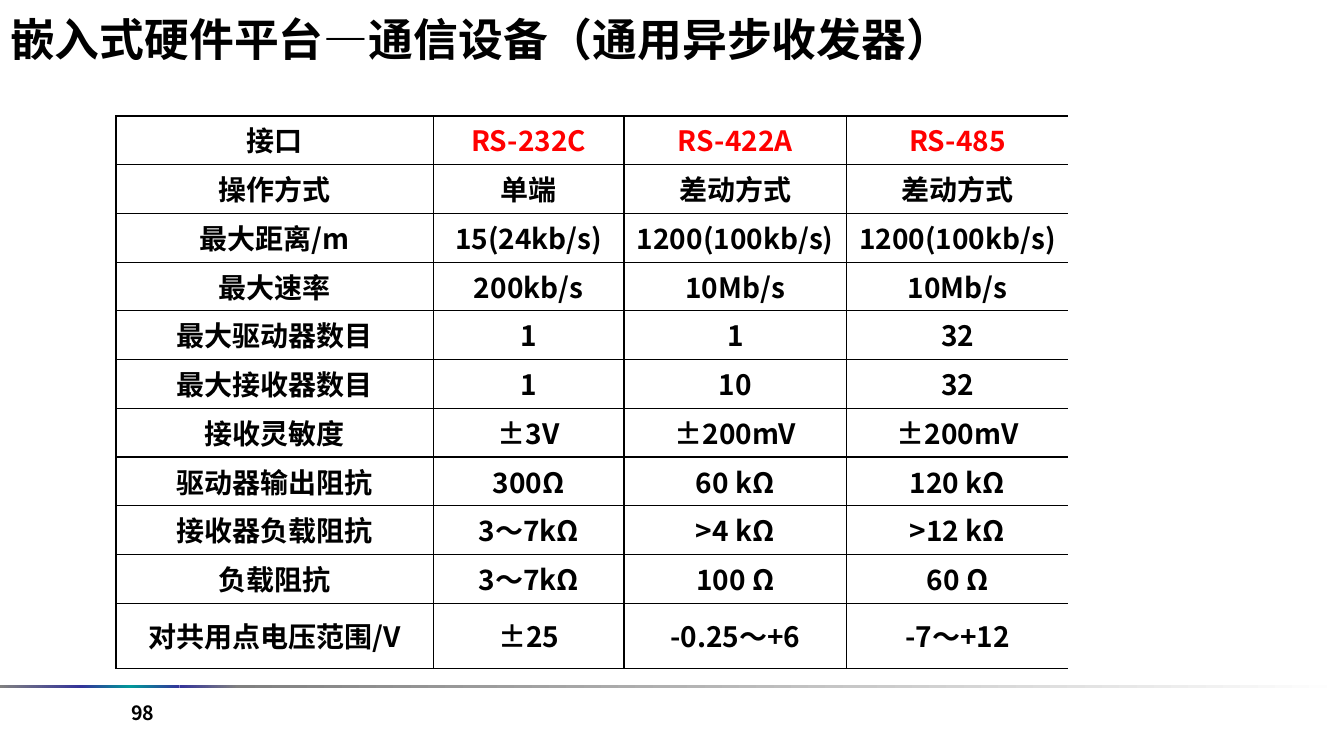
import pptx
import pptx.util
import pptx.dml.color
import pptx.enum.shapes
import pptx.enum.text
import pptx.oxml
import pptx.oxml.ns

Pt = pptx.util.Pt
RGB = pptx.dml.color.RGBColor
Align = pptx.enum.text.PP_ALIGN
Anchor = pptx.enum.text.MSO_ANCHOR
qn = pptx.oxml.ns.qn

TITLE = "嵌入式硬件平台—通信设备（通用异步收发器）"
PAGE = "98"
ROWS = [
    ("接口", "RS-232C", "RS-422A", "RS-485"),
    ("操作方式", "单端", "差动方式", "差动方式"),
    ("最大距离/m", "15(24kb/s)", "1200(100kb/s)", "1200(100kb/s)"),
    ("最大速率", "200kb/s", "10Mb/s", "10Mb/s"),
    ("最大驱动器数目", "1", "1", "32"),
    ("最大接收器数目", "1", "10", "32"),
    ("接收灵敏度", "±3V", "±200mV", "±200mV"),
    ("驱动器输出阻抗", "300Ω", "60 kΩ", "120 kΩ"),
    ("接收器负载阻抗", "3～7kΩ", ">4 kΩ", ">12 kΩ"),
    ("负载阻抗", "3～7kΩ", "100 Ω", "60 Ω"),
    ("对共用点电压范围/V", "±25", "-0.25～+6", "-7～+12"),
]
FONT = "Noto Sans CJK SC"
HEX = {"black": "000000", "red": "FF0000", "gray": "808080",
       "navy": "333399", "teal": "009999", "white": "FFFFFF"}
WIDTHS = [226.8, 136.1, 159.1, 158.4]
ROW_H, LAST_H = 28.8, 46.8
HANG = 27.36
STRIP_TOP, STRIP_H = 489.6, 1.6
STRIP = [  # right edge, colours from left to right
    (58.3, ["gray", "navy"]),
    (128.2, ["navy", "teal", "navy"]),
    (169.9, ["navy", "gray"]),
    (960, ["gray", "white"]),
]


def apply(item, values):
    for name, value in values.items():
        setattr(item, name, value)


def write(frame, text, size, align, color="black"):
    par = frame.paragraphs[0]
    par.alignment = align
    run = par.add_run()
    run.text = text
    apply(run.font, {"size": Pt(size), "bold": True, "name": FONT})
    run.font.color.rgb = RGB.from_string(HEX[color])
    run.font._element.get_or_add_latin().addnext(
        pptx.oxml.parse_xml(f'<a:ea {pptx.oxml.ns.nsdecls("a")} typeface="{FONT}"/>'))
    return par


def place(shape, left, top, width, height):
    apply(shape, {"left": Pt(left), "top": Pt(top),
                  "width": Pt(width), "height": Pt(height)})


def border(cell, sides):
    props = cell._tc.get_or_add_tcPr()
    for spot, side in enumerate(sides):
        props.insert(spot, pptx.oxml.parse_xml(
            f'<a:ln{side} {pptx.oxml.ns.nsdecls("a")} w="{Pt(1)}"><a:solidFill>'
            f'<a:srgbClr val="{HEX["black"]}"/></a:solidFill></a:ln{side}>'))


def blend(shape, names):
    """Fill with evenly spaced colours, left to right."""
    shape.fill.gradient()
    shape.fill.gradient_angle = 0
    stops = shape._element.spPr.find(qn("a:gradFill")).find(qn("a:gsLst"))
    for stop in list(stops):
        stops.remove(stop)
    for num, name in enumerate(names):
        pos = 100000 * num // (len(names) - 1)
        stops.append(pptx.oxml.parse_xml(
            f'<a:gs {pptx.oxml.ns.nsdecls("a")} pos="{pos}">'
            f'<a:srgbClr val="{HEX[name]}"/></a:gs>'))


def add_strip(slide):
    left = 0
    for right, names in STRIP:
        part = slide.shapes.add_shape(
            pptx.enum.shapes.MSO_SHAPE.RECTANGLE,
            Pt(left), Pt(STRIP_TOP), Pt(right - left), Pt(STRIP_H))
        part.shadow.inherit = False
        part.line.fill.background()
        blend(part, names)
        left = right


def add_grid(slide):
    heights = [ROW_H] * (len(ROWS) - 1) + [LAST_H]
    frame = slide.shapes.add_table(len(ROWS), len(WIDTHS), Pt(82.8), Pt(82.8),
                                   Pt(sum(WIDTHS)), Pt(sum(heights)))
    table = frame.table
    apply(table, {"first_row": False, "horz_banding": False})
    # The built-in "No Style, No Grid" table style
    table._tbl.tblPr.find(qn("a:tableStyleId")).text = \
        "{2D5ABB26-0587-4C30-8999-92F81FD0307C}"
    for col, width in zip(table.columns, WIDTHS):
        col.width = Pt(width)
    last = len(WIDTHS) - 1
    for r, texts in enumerate(ROWS):
        table.rows[r].height = Pt(heights[r])
        for c, text in enumerate(texts):
            cell = table.cell(r, c)
            cell.vertical_anchor = Anchor.MIDDLE
            cell.fill.background()
            color = "red" if r == 0 and c > 0 else "black"
            par = write(cell.text_frame, text, 20, Align.CENTER, color)
            par.line_spacing = 0.95
            apply(par._p.get_or_add_pPr(),
                  {"marL": Pt(HANG), "indent": Pt(-HANG)})
            # The last two headings share an open edge; the right side is open
            left = not (r == 0 and c == last)
            right = c < last and not (r == 0 and c == last - 1)
            border(cell, ["L"] * left + ["R"] * right + ["T", "B"])


def main():
    deck = pptx.Presentation()
    apply(deck, {"slide_width": Pt(960), "slide_height": Pt(540)})
    slide = deck.slides.add_slide(deck.slide_layouts[5])
    add_strip(slide)
    add_grid(slide)

    page = slide.shapes.add_textbox(Pt(2.2), Pt(496.8), Pt(115.2), Pt(36))
    page.text_frame.word_wrap = True
    write(page.text_frame, PAGE, 14, Align.RIGHT)

    title = slide.shapes.title
    place(title, 0, 1.4, 820, 52.6)
    apply(title.text_frame, {"word_wrap": True, "vertical_anchor": Anchor.MIDDLE,
                             "auto_size": pptx.enum.text.MSO_AUTO_SIZE.NONE})
    write(title.text_frame, TITLE, 32, Align.LEFT)
    deck.save("out.pptx")


if __name__ == "__main__":
    main()
